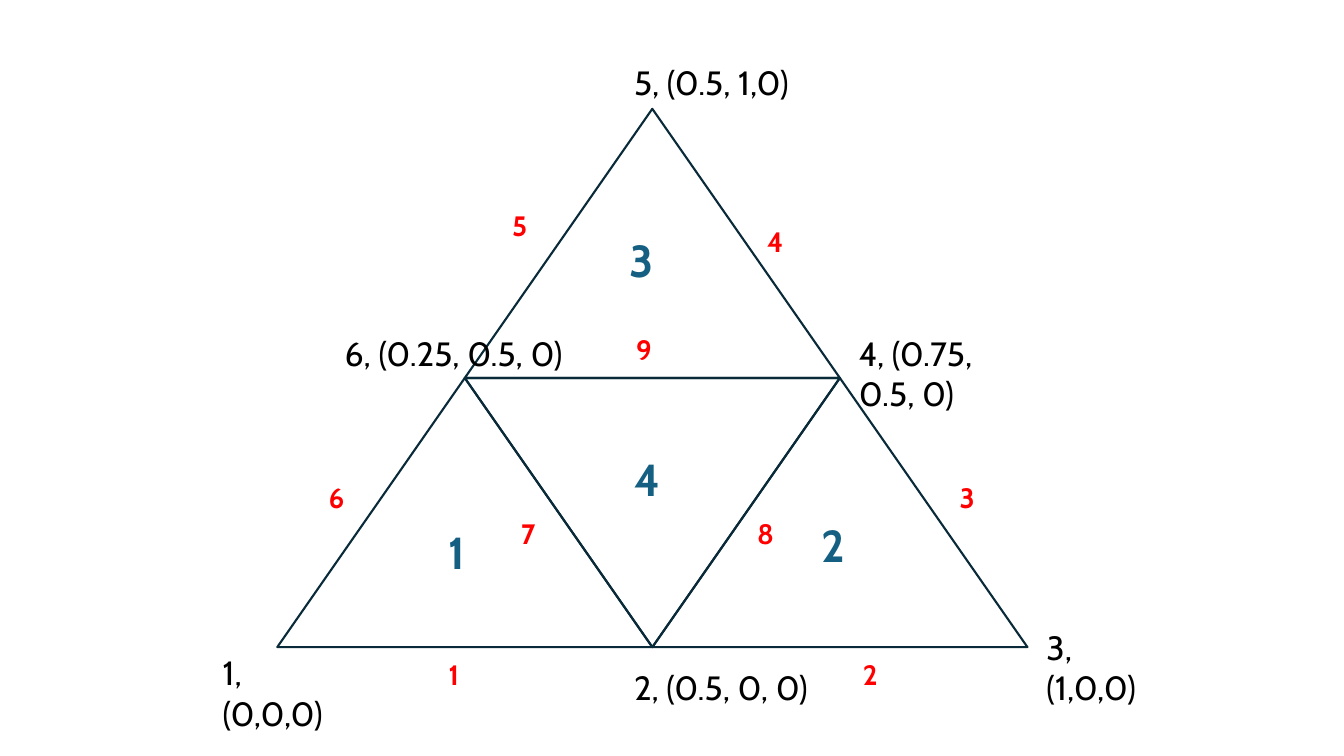
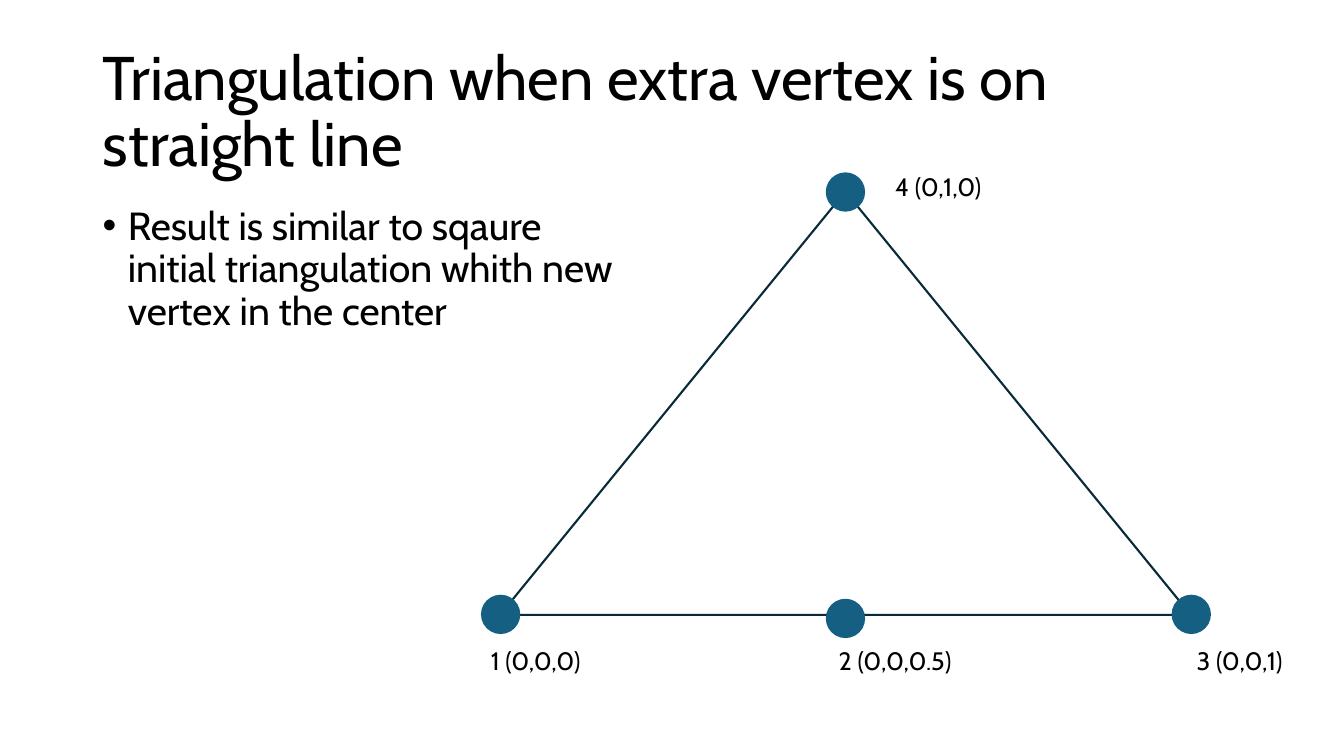
"""Two slides on triangulation: a split triangle and an extra vertex on a side."""
from lxml import etree
from pptx import Presentation
from pptx.dml.color import RGBColor
from pptx.enum.shapes import MSO_SHAPE
from pptx.enum.text import MSO_ANCHOR, MSO_AUTO_SIZE, PP_ALIGN
from pptx.oxml.ns import qn
from pptx.util import Inches, Pt

TRIANGLE, OVAL = MSO_SHAPE.ISOSCELES_TRIANGLE, MSO_SHAPE.OVAL
COLORS = {"text": "000000", "edge": "FF0000", "accent": "156082", "outline": "092A39"}
FONT = "Cabin"


def write(holder, text, size, color="text", bold=False):
    frame = holder.text_frame
    frame.word_wrap = True
    frame.auto_size = MSO_AUTO_SIZE.NONE
    paragraph = frame.paragraphs[0]
    run = paragraph.add_run()
    run.text = text
    run.font.name = FONT
    run.font.size = Pt(size)
    run.font.bold = bold
    run.font.color.rgb = RGBColor.from_string(COLORS[color])
    return paragraph


def draw(slide, kind, left, top, width, height, fill=None):
    shape = slide.shapes.add_shape(
        kind, Inches(left), Inches(top), Inches(width), Inches(height))
    shape.shadow.inherit = False
    if fill:
        shape.fill.solid()
        shape.fill.fore_color.rgb = RGBColor.from_string(COLORS[fill])
        shape.line.fill.background()
    else:
        shape.fill.background()
        shape.line.color.rgb = RGBColor.from_string(COLORS["outline"])
        shape.line.width = Pt(1.5)
    return shape


prs = Presentation()
prs.slide_width, prs.slide_height = Inches(13.33), Inches(7.5)

mesh = prs.slides.add_slide(prs.slide_layouts[6])
cell_width, cell_height = 3.72, 2.67
mesh_left, mesh_top = 2.75, 1.08
for column, row, rotation in [(0, 1, 0), (1, 1, 0), (0.5, 1, 180), (0.5, 0, 0)]:
    cell = draw(mesh, TRIANGLE, mesh_left + column * cell_width,
                mesh_top + row * cell_height, cell_width, cell_height)
    cell.rotation = rotation

vertices = [
    ("1, (0,0,0)", 2.11, 6.42, 1.21, 0.91),
    ("2, (0.5, 0, 0)", 6.19, 6.57, 2.23, 0.5),
    ("3, (1,0,0)", 10.28, 6.17, 1.21, 0.91),
    ("4, (0.75, 0.5, 0)", 8.42, 3.25, 1.86, 0.91),
    ("5, (0.5, 1,0)", 6.19, 0.57, 1.86, 0.5),
    ("6, (0.25, 0.5, 0)", 3.32, 3.25, 2.53, 0.5),
]
for text, left, top, width, height in vertices:
    label = mesh.shapes.add_textbox(
        Inches(left), Inches(top), Inches(width), Inches(height))
    write(label, text, 24)

edge_places = [(4.35, 6.47), (8.46, 6.47), (9.42, 4.72), (7.51, 2.18), (4.98, 2.02),
               (3.16, 4.72), (5.07, 5.08), (7.41, 5.08), (6.21, 3.25)]
face_places = [(4.35, 5.16), (8.05, 5.09), (6.15, 2.26), (6.19, 4.43)]
for places, width, height, size, color in [
        (edge_places, 1.09, 0.44, 20, "edge"), (face_places, 0.53, 0.64, 32, "accent")]:
    for number, (left, top) in enumerate(places, 1):
        label = mesh.shapes.add_textbox(
            Inches(left), Inches(top), Inches(width), Inches(height))
        write(label, str(number), size, color, True)

extra = prs.slides.add_slide(prs.slide_layouts[5])
title = extra.shapes.title
title.left, title.top = Inches(0.92), Inches(0.4)
title.width, title.height = Inches(11.5), Inches(1.45)
title.text_frame.vertical_anchor = MSO_ANCHOR.MIDDLE
heading = write(title, "Triangulation when extra vertex is on straight line", 44)
heading.alignment = PP_ALIGN.LEFT
heading.line_spacing = 0.9

remark = extra.shapes.add_textbox(Inches(0.92), Inches(2), Inches(5.48), Inches(2.37))
point = write(
    remark, "Result is similar to sqaure initial triangulation whith new vertex in the center", 28)
point.line_spacing = 0.9
point.space_before = Pt(10)
properties = point._p.get_or_add_pPr()
properties.set("marL", str(Inches(0.25)))
properties.set("indent", str(-Inches(0.25)))
etree.SubElement(properties, qn("a:buFont")).set("typeface", "Arial")
etree.SubElement(properties, qn("a:buChar")).set("char", "•")

draw(extra, TRIANGLE, 4.96, 1.9, 6.85, 4.2)
dot = 0.39
corners = [
    ("1 (0,0,0)", 4.77, 5.9, 4.77, 6.35, 1.63),
    ("2 (0,0,0.5)", 8.19, 5.94, 8.22, 6.35, 1.63),
    ("3 (0,0,1)", 11.62, 5.9, 11.77, 6.35, 1.13),
    ("4 (0,1,0)", 8.19, 1.71, 8.78, 1.65, 1.63),
]
for text, dot_left, dot_top, left, top, width in corners:
    draw(extra, OVAL, dot_left, dot_top, dot, dot, "accent")
    label = extra.shapes.add_textbox(Inches(left), Inches(top), Inches(width), Inches(0.4))
    write(label, text, 18)

prs.save("out.pptx")
